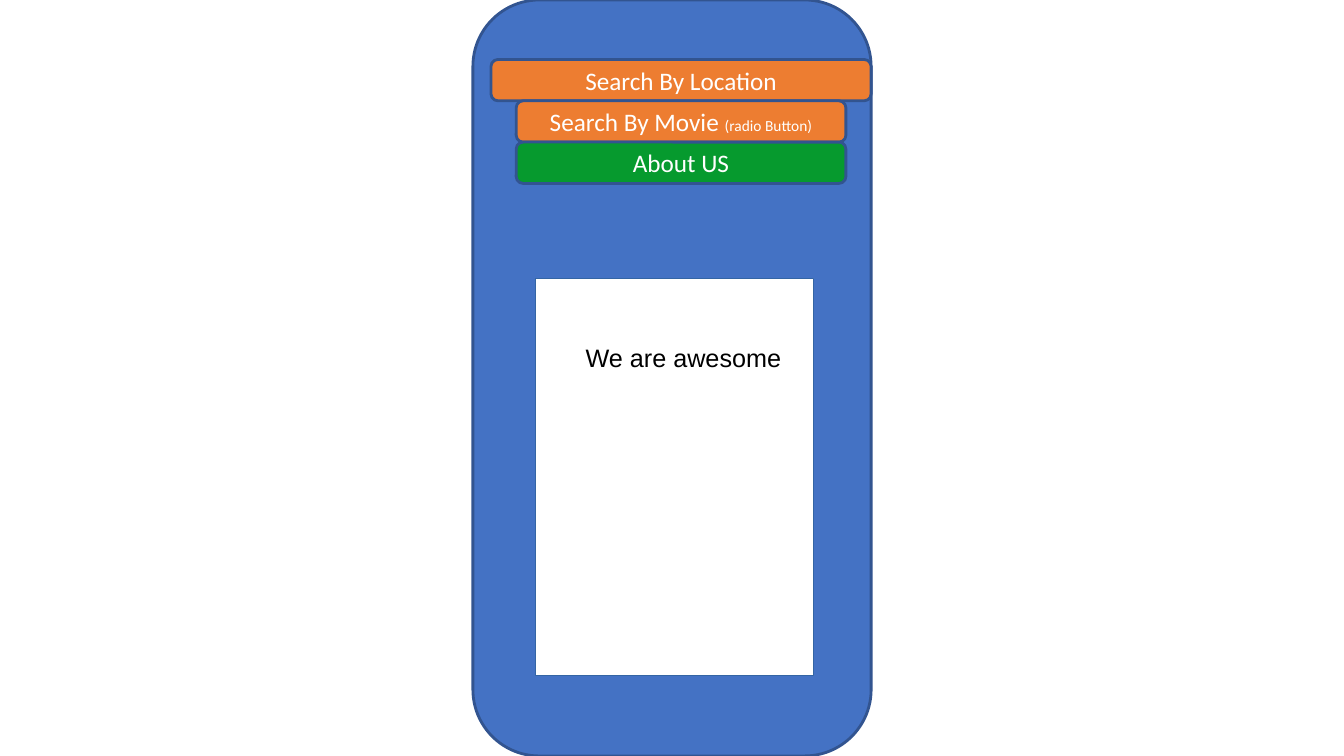
import pptx
import pptx.util
import pptx.dml.color
import pptx.enum.shapes
import pptx.enum.text

Inches = pptx.util.Inches
Pt = pptx.util.Pt
RGBColor = pptx.dml.color.RGBColor
Kind = pptx.enum.shapes.MSO_SHAPE
Align = pptx.enum.text.PP_ALIGN
Anchor = pptx.enum.text.MSO_ANCHOR

WHITE = RGBColor(0xFF, 0xFF, 0xFF)
BLACK = RGBColor(0, 0, 0)
BLUE = RGBColor(0x44, 0x72, 0xC4)
NAVY = RGBColor(0x32, 0x54, 0x90)
STEEL = RGBColor(0x34, 0x65, 0xA4)
ORANGE = RGBColor(0xED, 0x7D, 0x31)
GREEN = RGBColor(0x06, 0x9A, 0x2E)

PHONE = (4.69, 0, 3.95, 7.5)
ROW = 0.41
# Each button: inset from the phone's left side, width, fill, text runs with sizes
MENU = [
    (0.18, 3.77, ORANGE, [("Search By Location", 18)]),
    (0.43, 3.27, ORANGE, [("Search By Movie ", 18), ("(radio Button)", 11)]),
    (0.43, 3.27, GREEN, [("About US", 18)]),
]


def add_box(slide, kind, box, fill, edge, width):
    shape = slide.shapes.add_shape(kind, *map(Inches, box))
    shape.shadow.inherit = False
    shape.fill.solid()
    shape.fill.fore_color.rgb = fill
    shape.line.color.rgb = edge
    shape.line.width = Pt(width)
    return shape


def add_run(para, text, color, form):
    run = para.add_run()
    run.text = text
    run.font.color.rgb = color
    for name, value in form.items():
        setattr(run.font, name, value)


def add_menu(slide, box):
    """Stack the buttons downward from the top of the box."""
    left, top = box[:2]
    for row, (inset, width, fill, runs) in enumerate(MENU):
        place = (left + inset, top + row * ROW, width, ROW)
        button = add_box(slide, Kind.ROUNDED_RECTANGLE, place, fill, NAVY, 2)
        frame = button.text_frame
        frame.vertical_anchor = Anchor.MIDDLE
        para = frame.paragraphs[0]
        para.alignment = Align.CENTER
        for text, size in runs:
            add_run(para, text, WHITE, {"name": "Calibri", "size": Pt(size)})


def add_panel(slide, box):
    """Draw the white page with its message."""
    left, top = box[:2]
    add_box(slide, Kind.RECTANGLE, box, WHITE, STEEL, 0)
    place = (left + 0.4, top + 0.59, 2.17, 0.38)
    label = slide.shapes.add_textbox(*map(Inches, place))
    label.text_frame.word_wrap = True
    para = label.text_frame.paragraphs[0]
    add_run(para, "We are awesome", BLACK, {"name": "Arial", "size": Pt(18)})


def add_phone(slide, box):
    left, top, width, _ = box
    add_box(slide, Kind.ROUNDED_RECTANGLE, box, BLUE, NAVY, 2)
    add_menu(slide, (left, top + 0.59, width, ROW * len(MENU)))
    add_panel(slide, (left + 0.62, top + 2.76, 2.76, 3.94))


def main():
    deck = pptx.Presentation()
    deck.slide_width = Inches(13.33)
    deck.slide_height = Inches(7.5)
    slide = deck.slides.add_slide(deck.slide_layouts[6])
    add_phone(slide, PHONE)
    deck.save("out.pptx")


if __name__ == "__main__":
    main()
